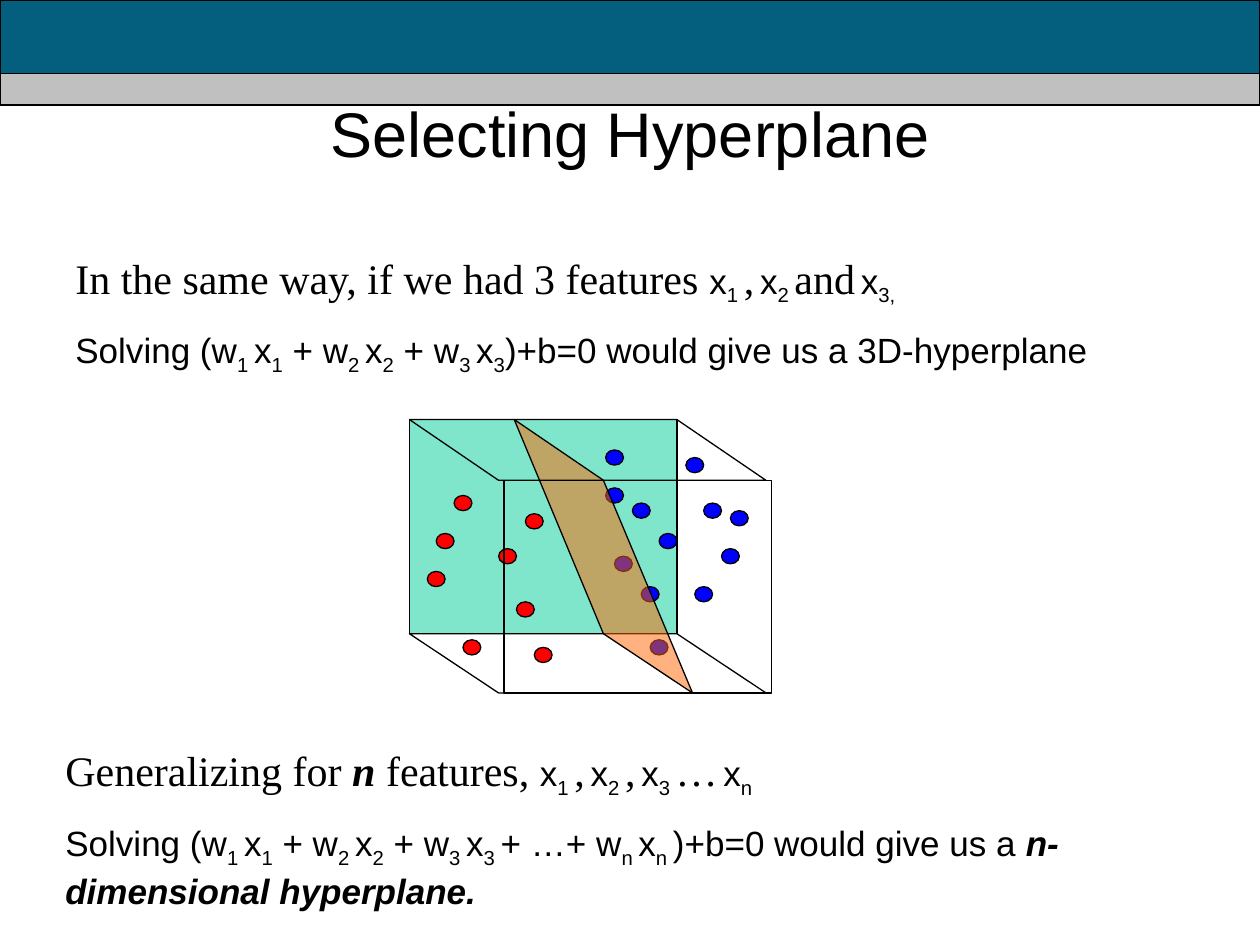
"""Build the slide on selecting a separating hyperplane."""
from lxml import etree
from pptx import Presentation, util as u
from pptx.dml.color import RGBColor
from pptx.enum import shapes, text
from pptx.oxml import ns

prs = Presentation()
prs.slide_width, prs.slide_height = W, H = u.Inches(10), u.Inches(7.5)
slide = prs.slides.add_slide(prs.slide_layouts[6])


def paint(s, fill=None, alpha=None):
    s.shadow.inherit = False
    s.line.color.rgb = RGBColor.from_string("000000")
    s.line.width = u.Pt(0.75)
    if fill is None:
        s.fill.background()
        return
    s.fill.solid()
    s.fill.fore_color.rgb = RGBColor.from_string(fill)
    if alpha:
        clr = s._element.spPr.find(".//" + ns.qn("a:srgbClr"))
        etree.SubElement(clr, ns.qn("a:alpha")).set("val", str(alpha * 1000))


def add_preset(kind, x, y, w, h, fill=None, alpha=None):
    s = slide.shapes.add_shape(kind, round(x), round(y), round(w), round(h))
    paint(s, fill, alpha)


rect, oval = shapes.MSO_SHAPE.RECTANGLE, shapes.MSO_SHAPE.OVAL
add_preset(rect, 0, 0, W, H / 9, "045E7E")
add_preset(rect, 0, H * 7 / 90, W, H / 30, "C0C0C0")

left, top = u.Inches(3.25), u.Inches(3.33)
col, row = u.Inches(2.83) / 40, u.Inches(2.17) / 36
add_preset(rect, left, top, 30 * col, 28.2 * row, "00CC99", 50)

dots = {
    "FF0000": [(5, 10), (2, 20), (6, 29), (10, 17), (12, 24), (14, 30),
               (3, 15), (13, 12.4)],
    "0000FF": [(36, 12), (23, 18), (31, 5), (26, 22), (33, 11), (25, 11),
               (28, 15), (35, 17), (22, 4), (22, 9), (27, 29), (32, 22)],
}
for colour, cells in dots.items():
    for c, r in cells:
        add_preset(oval, left + c * col, top + r * row, 2 * col, 2 * row, colour)

floor = [(0, 28.2), (10, 36), (40, 36), (30, 28.2)]
plane = [(11.75, 0), (21.75, 8), (31.75, 36), (21.75, 28.2)]
lid = [(0, 0), (10, 8), (40, 8), (30, 0)]
for corners, fill, alpha in ((floor, None, None), (plane, "FF6600", 50), (lid, None, None)):
    points = [(round(left + c * col), round(top + r * row)) for c, r in corners]
    builder = slide.shapes.build_freeform(*points[0])
    builder.add_line_segments(points[1:], close=True)
    paint(builder.convert_to_shape(), fill, alpha)
add_preset(rect, left + 10.6 * col, top + 8 * row, 30 * col, 28 * row)

styles = {
    "title": ("Arial", 36, False, 0),
    "serif": ("Times New Roman", 24, False, 0),
    "serif_bold": ("Times New Roman", 24, True, 0),
    "sans": ("Arial", 20, False, 0),
    "sans_bold": ("Arial", 20, True, 0),
    "sub": ("Arial", 20, False, -25000),
}
x1, x2 = [[("sans", "x"), ("sub", f"{n} "), ("serif", ","), ("sub", " ")] for n in (1, 2)]
solving = [("sans", "Solving (w")]
for n in (1, 2):
    solving += [("sub", f"{n} "), ("sans", "x"), ("sub", f"{n}"), ("sans", " + w")]
solving += [("sub", "3 "), ("sans", "x")]

three = [
    [("serif", "In the same way, if we had 3 features "), *x1,
     ("sans", "x"), ("sub", "2 "), ("serif", "and"), ("sub", " "),
     ("sans", "x"), ("sub", "3,")],
    [*solving, ("sub", "3"), ("sans", ")+b=0 would give us a 3D-hyperplane")],
]
general = [
    [("serif", "Generalizing for "), ("serif_bold", "n"), ("serif", " features, "),
     *x1, *x2, ("sans", "x"), ("sub", "3 "), ("serif", "…"), ("sub", " "),
     ("sans", "x"), ("sub", "n")],
    [*solving, ("sub", "3 "), ("sans", "+ …+ w"), ("sub", "n "), ("sans", "x"),
     ("sub", "n "), ("sans", ")+b=0 would give us a "),
     ("sans_bold", "n-dimensional hyperplane.")],
]
boxes = [
    (0.75, 0.67, 8.5, 1.25, text.PP_ALIGN.CENTER, [[("title", "Selecting Hyperplane")]]),
    (0.5, 1.92, 8.83, 1.09, text.PP_ALIGN.LEFT, three),
    (0.42, 5.83, 9.25, 1.93, text.PP_ALIGN.LEFT, general),
]
for x, y, w, h, align, paragraphs in boxes:
    tf = slide.shapes.add_textbox(*map(u.Inches, (x, y, w, h))).text_frame
    tf.word_wrap = True
    tf.margin_top = u.Inches(0.08)
    for i, runs in enumerate(paragraphs):
        p = tf.add_paragraph() if i else tf.paragraphs[0]
        p.alignment = align
        if i:
            p.space_before = u.Pt(12.5)
        for style, words in runs:
            r = p.add_run()
            r.text = words
            face, size, strong, base = styles[style]
            r.font.name, r.font.size = face, u.Pt(size)
            r.font.bold = r.font.italic = strong
            r.font.color.rgb = RGBColor.from_string("000000")
            if base:
                r._r.get_or_add_rPr().set("baseline", str(base))

prs.save("out.pptx")
